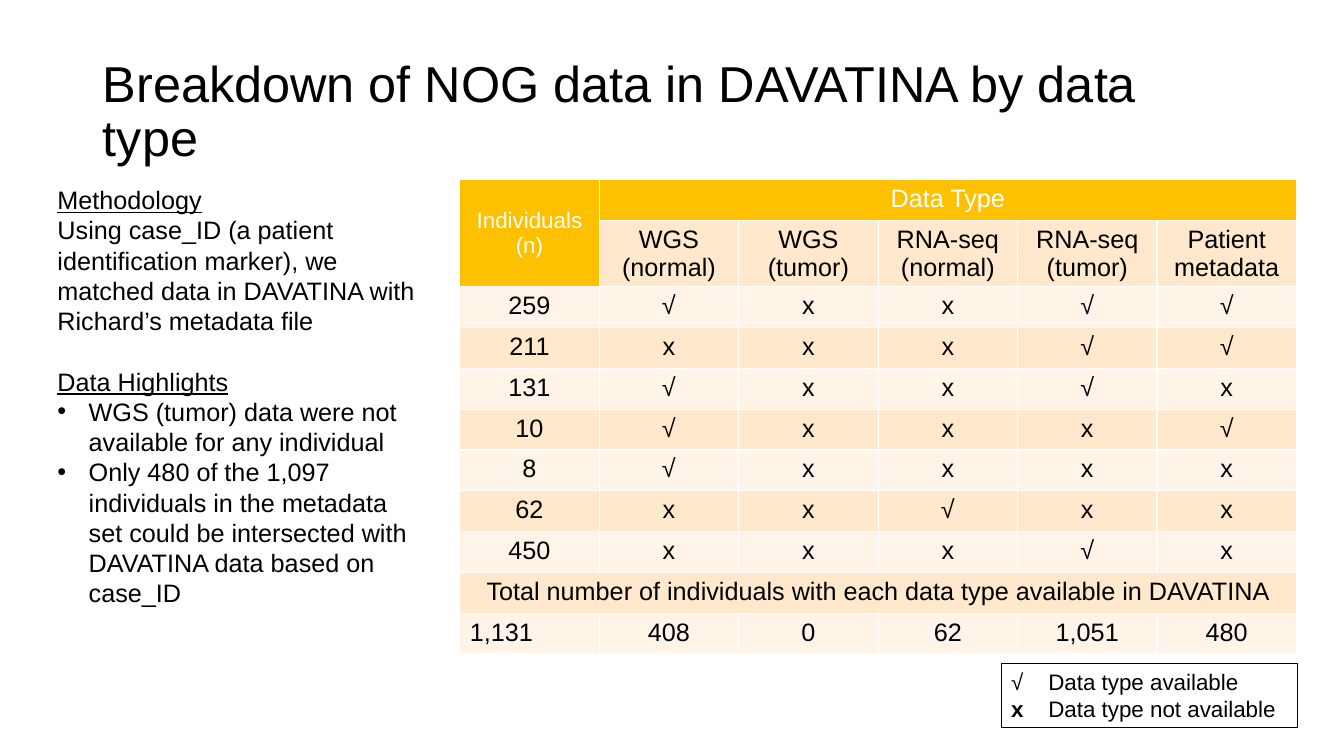
from pptx import Presentation
from pptx.dml.color import RGBColor
from pptx.enum.shapes import MSO_SHAPE
from pptx.enum.text import MSO_ANCHOR, MSO_AUTO_SIZE, PP_ALIGN
from pptx.oxml.ns import qn
from pptx.util import Inches, Pt
from lxml import etree

FONT = "Arial"
BLACK = RGBColor(0x00, 0x00, 0x00)
WHITE = RGBColor(0xFF, 0xFF, 0xFF)
GOLD = RGBColor(0xFF, 0xC0, 0x00)
PEACH = RGBColor(0xFF, 0xE8, 0xCC)
CREAM = RGBColor(0xFF, 0xF4, 0xE7)

TITLE = "Breakdown of NOG data in DAVATINA by data type"

# Text, underlined, bulleted, space before in points
NOTES = [
    ("Methodology", True, False, 0),
    ("Using case_ID (a patient identification marker), we matched data in "
     "DAVATINA with Richard’s metadata file", False, False, 0),
    ("Data Highlights", True, False, 21.6),
    ("WGS (tumor) data were not available for any individual", False, True, 0),
    ("Only 480 of the 1,097 individuals in the metadata set could be "
     "intersected with DAVATINA data based on case_ID", False, True, 0),
]

DATA_TYPES = ["WGS (normal)", "WGS (tumor)", "RNA-seq (normal)",
              "RNA-seq (tumor)", "Patient metadata"]
# Number of individuals and the availability of each data type
AVAILABILITY = [("259", "√xx√√"), ("211", "xxx√√"), ("131", "√xx√x"),
                ("10", "√xxx√"), ("8", "√xxxx"), ("62", "xx√xx"),
                ("450", "xxx√x")]
TOTAL_LABEL = ("Total number of individuals with each data type "
               "available in DAVATINA")
TOTALS = ["1,131", "408", "0", "62", "1,051", "480"]

LEGEND = [("√", "Data type available", False),
          ("x", "Data type not available", True)]


def format_span(span, size, color=BLACK, bold=False, underline=False):
    font = span.font
    font.name, font.size, font.color.rgb = FONT, Pt(size), color
    font.bold, font.underline = bold, underline


def set_indent(para, left, first):
    properties = para._p.get_or_add_pPr()
    properties.set("marL", str(Inches(left)))
    properties.set("indent", str(Inches(first)))
    return properties


def place(shape, left, top, width, height):
    shape.left, shape.top = Inches(left), Inches(top)
    shape.width, shape.height = Inches(width), Inches(height)


def add_title(page):
    title = page.shapes.title
    place(title, 0.92, 0.4, 11.5, 1.45)
    frame = title.text_frame
    frame.text = TITLE
    frame.auto_size = MSO_AUTO_SIZE.NONE
    frame.vertical_anchor = MSO_ANCHOR.MIDDLE
    para = frame.paragraphs[0]
    para.alignment, para.line_spacing = PP_ALIGN.LEFT, 0.9
    format_span(para.runs[0], 36)


def add_notes(page):
    body = page.placeholders[1]
    place(body, 0.47, 1.78, 3.87, 4.95)
    frame = body.text_frame
    frame.text = "\n".join(note[0] for note in NOTES)
    frame.auto_size = MSO_AUTO_SIZE.NONE
    for para, (_, underline, bulleted, gap) in zip(frame.paragraphs, NOTES):
        para.space_before = Pt(gap)
        if bulleted:
            bullet = etree.SubElement(set_indent(para, 0.31, -0.31), qn("a:buChar"))
            bullet.set("char", "•")
        else:
            etree.SubElement(set_indent(para, 0, 0), qn("a:buNone"))
        format_span(para.runs[0], 18, underline=underline)


def fill_cell(cell, text, fill, size=18, color=BLACK, align=PP_ALIGN.CENTER):
    cell.fill.solid()
    cell.fill.fore_color.rgb = fill
    cell.text_frame.text = text
    para = cell.text_frame.paragraphs[0]
    para.alignment = align
    format_span(para.runs[0], size, color)


def add_data_table(page):
    row_count, column_count = len(AVAILABILITY) + 4, len(TOTALS)
    header_height = Inches(0.65)
    table = page.shapes.add_table(row_count, column_count, Inches(4.56),
                                  Inches(1.78), Inches(8.3), Inches(4.7)).table
    for column in table.columns:
        column.width = Inches(8.3 / column_count)
    for row in table.rows:
        row.height = int((Inches(4.7) - header_height) / (row_count - 1))
    table.rows[1].height = header_height

    # Header rows
    table.cell(0, 0).merge(table.cell(1, 0))
    table.cell(0, 1).merge(table.cell(0, column_count - 1))
    fill_cell(table.cell(0, 0), "Individuals (n)", GOLD, 16, WHITE)
    table.cell(0, 0).vertical_anchor = MSO_ANCHOR.MIDDLE
    fill_cell(table.cell(0, 1), "Data Type", GOLD, color=WHITE)
    for column, name in enumerate(DATA_TYPES, 1):
        fill_cell(table.cell(1, column), name, PEACH)

    # Banded data rows, then the totals
    rows = [[count, *marks] for count, marks in AVAILABILITY]
    rows += [[TOTAL_LABEL], TOTALS]
    for index, values in enumerate(rows, 2):
        for column, value in enumerate(values):
            fill_cell(table.cell(index, column), value,
                      PEACH if index % 2 else CREAM)
    label_row = row_count - 2
    table.cell(label_row, 0).merge(table.cell(label_row, column_count - 1))
    total_cell = table.cell(row_count - 1, 0)
    total_cell.text_frame.paragraphs[0].alignment = PP_ALIGN.LEFT


def add_legend(page):
    box = page.shapes.add_shape(MSO_SHAPE.RECTANGLE, Inches(9.93), Inches(6.58),
                                Inches(2.94), Inches(0.64))
    box.shadow.inherit = False
    box.fill.background()
    box.line.color.rgb, box.line.width = BLACK, Pt(0.75)
    frame = box.text_frame
    frame.word_wrap = True
    frame.vertical_anchor = MSO_ANCHOR.TOP
    for index, (mark, meaning, bold) in enumerate(LEGEND):
        para = frame.add_paragraph() if index else frame.paragraphs[0]
        para.alignment = PP_ALIGN.LEFT
        set_indent(para, 0.37, -0.37)
        for text, weight in ((mark, bold), ("\t" + meaning, False)):
            span = para.add_run()
            span.text = text
            format_span(span, 16, bold=weight)


def main():
    deck = Presentation()
    deck.slide_width, deck.slide_height = Inches(13.33), Inches(7.5)
    page = deck.slides.add_slide(deck.slide_layouts[1])
    add_title(page)
    add_data_table(page)
    add_notes(page)
    add_legend(page)
    deck.save("out.pptx")


if __name__ == "__main__":
    main()
